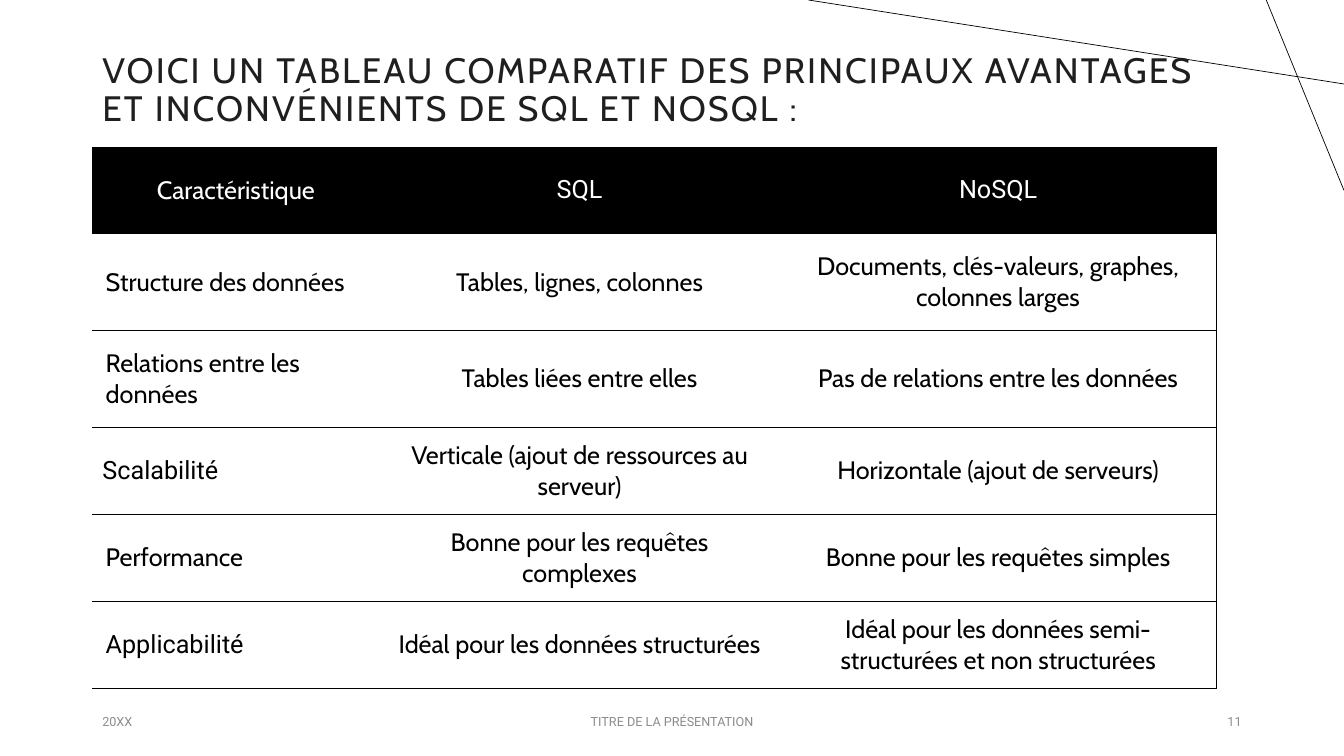
import dataclasses

import pptx
import pptx.dml.color
import pptx.enum.shapes
import pptx.enum.text
import pptx.oxml
import pptx.oxml.ns
import pptx.util

Pt = pptx.util.Pt
ALIGN = pptx.enum.text.PP_ALIGN
MIDDLE = pptx.enum.text.MSO_ANCHOR.MIDDLE


@dataclasses.dataclass(frozen=True)
class Theme:
    ink: str = "000000"
    paper: str = "FFFFFF"
    heading: str = "1F1F1F"
    muted: str = "8C8C8C"
    main_font: str = "Cabin"
    second_font: str = "Roboto"
    title_size: float = 25.2
    table_size: float = 18
    footer_size: float = 9
    rule: float = 0.5


THEME = Theme()

COMPARISON = [
    ["Caractéristique", "SQL", "NoSQL"],
    ["Structure des données", "Tables, lignes, colonnes",
     "Documents, clés-valeurs, graphes, colonnes larges"],
    ["Relations entre les données", "Tables liées entre elles",
     "Pas de relations entre les données"],
    ["Scalabilité", "Verticale (ajout de ressources au serveur)",
     "Horizontale (ajout de serveurs)"],
    ["Performance", "Bonne pour les requêtes complexes",
     "Bonne pour les requêtes simples"],
    ["Applicabilité", "Idéal pour les données structurées",
     "Idéal pour les données semi-structurées et non structurées"],
]
SECOND_FONT_WORDS = {"SQL", "NoSQL", "Scalabilité", "Applicabilité"}
NARROW_MARGIN_WORDS = {*COMPARISON[0], "Scalabilité"}
COLUMN_WIDTHS = [205, 286, 312]
ROW_HEIGHTS = [62, 69, 69, 62, 62, 62]


def rgb(color):
    return pptx.dml.color.RGBColor.from_string(color)


def style_text(frame, font, size, color, align):
    for paragraph in frame.paragraphs:
        paragraph.alignment = align
        for run in paragraph.runs:
            run.font.name = font
            run.font.size = Pt(size)
            run.font.bold = False
            run.font.color.rgb = rgb(color)


def add_label(slide, box, words, font, size, color, align):
    label = slide.shapes.add_textbox(*map(Pt, box))
    frame = label.text_frame
    frame.word_wrap = True
    frame.vertical_anchor = MIDDLE
    frame.text = words
    style_text(frame, font, size, color, align)
    return frame


def add_corner_lines(slide, box):
    left, top, width, height = box
    right = left + width
    ends = [(right, top + 60, left, top),
            (right - 55.5, top, right, top + height)]
    for end in ends:
        line = slide.shapes.add_connector(
            pptx.enum.shapes.MSO_CONNECTOR.STRAIGHT, *map(Pt, end))
        line.line.color.rgb = rgb(THEME.ink)
        line.line.width = Pt(THEME.rule)
        line._element.spPr.append(pptx.oxml.parse_xml(
            f'<a:effectLst {pptx.oxml.ns.nsdecls("a")}/>'))


def add_title(slide, box):
    frame = add_label(
        slide, box,
        "VOICI UN TABLEAU COMPARATIF DES PRINCIPAUX AVANTAGES "
        "ET INCONVÉNIENTS DE SQL ET NOSQL :\v",
        THEME.main_font, THEME.title_size, THEME.heading, ALIGN.LEFT)
    heading = frame.paragraphs[0]
    heading.line_spacing = 0.9
    for run in heading.runs:
        run.font._element.set("spc", "150")


def set_borders(cell, visible):
    properties = cell._tc.get_or_add_tcPr()
    for position, side in enumerate("LRTB"):
        if side in visible:
            paint = f'<a:solidFill><a:srgbClr val="{THEME.ink}"/></a:solidFill>'
        else:
            paint = "<a:noFill/>"
        properties.insert(position, pptx.oxml.parse_xml(
            f'<a:ln{side} {pptx.oxml.ns.nsdecls("a")} '
            f'w="{Pt(THEME.rule)}">{paint}</a:ln{side}>'))


def fill_cell(cell, words, is_header, is_first, is_last):
    cell.text = words
    cell.vertical_anchor = MIDDLE
    if words not in NARROW_MARGIN_WORDS:
        cell.margin_left = cell.margin_right = Pt(9.5)
        cell.margin_top = cell.margin_bottom = Pt(9.5)
    font = THEME.second_font if words in SECOND_FONT_WORDS else THEME.main_font
    align = ALIGN.LEFT if is_first and not is_header else ALIGN.CENTER
    color = THEME.paper if is_header else THEME.ink
    style_text(cell.text_frame, font, THEME.table_size, color, align)
    if is_header:
        cell.fill.solid()
        cell.fill.fore_color.rgb = rgb(THEME.ink)
    else:
        cell.fill.background()
    visible = "TB"
    if is_last:
        visible += "R"
    if is_first and is_header:
        visible += "L"
    set_borders(cell, visible)


def add_comparison(slide, box):
    comparison = slide.shapes.add_table(
        len(COMPARISON), len(COLUMN_WIDTHS), *map(Pt, box)).table
    comparison.first_row = False
    comparison.horz_banding = False
    for column, width in zip(comparison.columns, COLUMN_WIDTHS):
        column.width = Pt(width)
    for row, height in zip(comparison.rows, ROW_HEIGHTS):
        row.height = Pt(height)
    last = len(COLUMN_WIDTHS) - 1
    for r, entries in enumerate(COMPARISON):
        for c, words in enumerate(entries):
            fill_cell(comparison.cell(r, c), words, r == 0, c == 0, c == last)


def add_footer(slide, box):
    left, top, width, height = box
    parts = [("20XX", 0, 216, ALIGN.LEFT),
             ("TITRE DE LA PRÉSENTATION", (width - 324) / 2, 324, ALIGN.CENTER),
             ("11", width - 216, 216, ALIGN.RIGHT)]
    for words, offset, part_width, align in parts:
        add_label(slide, (left + offset, top, part_width, height), words,
                  THEME.second_font, THEME.footer_size, THEME.muted, align)


def main():
    deck = pptx.Presentation()
    deck.slide_width, deck.slide_height = Pt(960), Pt(540)
    slide = deck.slides.add_slide(deck.slide_layouts[6])
    add_corner_lines(slide, (577.5, 0, 382.5, 136))
    add_footer(slide, (66, 500.5, 828, 29))
    add_title(slide, (66, 47.5, 828, 57))
    add_comparison(slide, (66, 105, sum(COLUMN_WIDTHS), sum(ROW_HEIGHTS)))
    deck.save("out.pptx")


if __name__ == "__main__":
    main()
